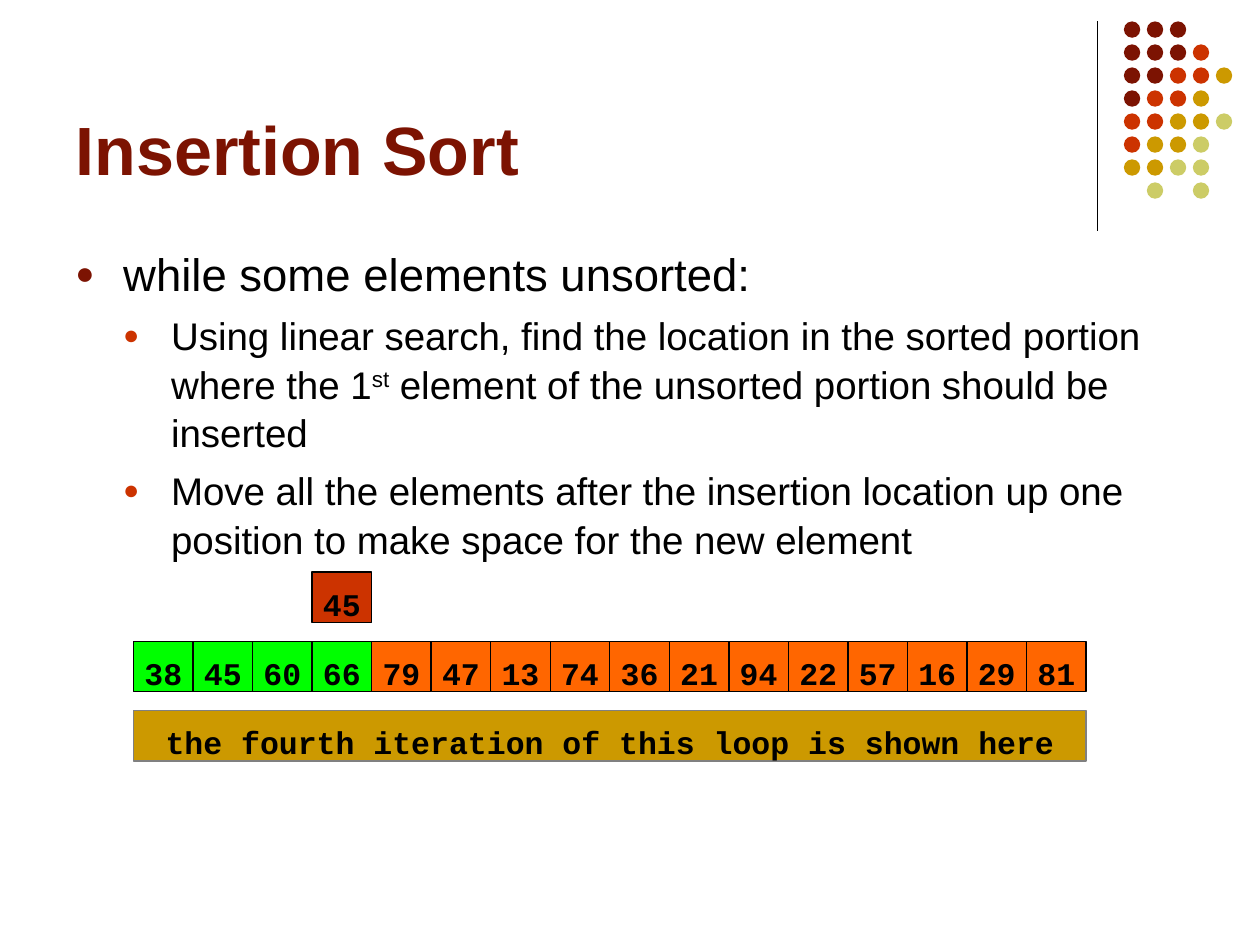
from lxml.etree import SubElement
from pptx import Presentation
from pptx.dml.color import RGBColor
from pptx.enum.shapes import MSO_CONNECTOR, MSO_SHAPE
from pptx.enum.text import MSO_ANCHOR, MSO_AUTO_SIZE, PP_ALIGN
from pptx.oxml.ns import qn
from pptx.util import Inches, Pt

TITLE = "Insertion Sort"
# (level, runs); a run is (text, is superscript)
BODY = [
    (0, [("while some elements unsorted:", False)]),
    (1, [("Using linear search, find the location in the sorted portion where the 1", False),
         ("st", True),
         (" element of the unsorted portion should be inserted", False)]),
    (1, [("Move all the elements after the insertion location up one position "
          "to make space for the new element", False)]),
]
VALUES = [38, 45, 60, 66, 79, 47, 13, 74, 36, 21, 94, 22, 57, 16, 29, 81]
SORTED_COUNT = 4
INSERTED_VALUE, INSERTED_COLUMN = 45, 3
CAPTION = "the fourth iteration of this loop is shown here"
# Each letter is a dot colour, a space is a gap
DOT_ROWS = ["MMM", "MMMR", "MMRRG", "MRRG", "RRGGL", "RGGL", "GGLL", " L L"]

THEME = {
    "maroon": "7C1302", "red": "CC3300", "gold": "CC9900", "lime": "CCCC66",
    "black": "000000", "gray": "808080", "sorted": "00FF00", "unsorted": "FF6600",
    "sans": "Arial", "mono": "Courier New",
    "title_size": 39, "cell_size": 18,
    "levels": [
        {"size": 26, "before": 6.5, "indent": 0.38, "bullet": "maroon"},
        {"size": 22, "before": 5.5, "indent": 0.76, "bullet": "red"},
    ],
}
DOT_COLOURS = {"M": "maroon", "R": "red", "G": "gold", "L": "lime"}

DOT_LEFT, DOT_TOP, DOT_STEP, DOT_SIZE = 8.92, 0.17, 0.73 / 4, 0.13
ARRAY_LEFT, ARRAY_TOP, ARRAY_WIDTH = 1.06, 5.09, 7.56
CELL_WIDTH, CELL_HEIGHT = ARRAY_WIDTH / len(VALUES), 0.4
ROW_STEP = 0.55


def colour(name):
    return RGBColor.from_string(THEME[name])


def apply(target, **values):
    for name, value in values.items():
        setattr(target, name, value)


def style_font(font, face, size, colour_name="black", bold=False):
    apply(font, name=THEME[face], size=Pt(size), bold=bold)
    font.color.rgb = colour(colour_name)


def add_filled(slide, kind, box, fill, line=None, line_width=0.75):
    shape = slide.shapes.add_shape(kind, *map(Inches, box))
    shape.shadow.inherit = False
    shape.fill.solid()
    shape.fill.fore_color.rgb = colour(fill)
    if line:
        shape.line.color.rgb = colour(line)
        shape.line.width = Pt(line_width)
    else:
        shape.line.fill.background()
    return shape


def add_label(slide, text, box, fill, line="black", line_width=0.75):
    """Add a filled box with bold monospaced text resting near its bottom edge."""
    shape = add_filled(slide, MSO_SHAPE.RECTANGLE, box, fill, line, line_width)
    apply(shape.text_frame, vertical_anchor=MSO_ANCHOR.BOTTOM, margin_bottom=0,
          margin_top=0, margin_left=Inches(0.05), margin_right=Inches(0.05))
    paragraph = shape.text_frame.paragraphs[0]
    paragraph.alignment = PP_ALIGN.CENTER
    run = paragraph.add_run()
    run.text = str(text)
    style_font(run.font, "mono", THEME["cell_size"], bold=True)


def add_bullet(paragraph, indent, colour_name):
    properties = paragraph._p.get_or_add_pPr()
    properties.set("marL", str(Inches(indent)))
    properties.set("indent", str(Inches(-0.38)))
    bullet_colour = SubElement(properties, qn("a:buClr"))
    SubElement(bullet_colour, qn("a:srgbClr"), val=THEME[colour_name])
    SubElement(properties, qn("a:buSzPct"), val="70000")
    SubElement(properties, qn("a:buFont"), typeface=THEME["sans"])
    SubElement(properties, qn("a:buChar"), char="●")


def add_corner_decoration(slide):
    rule = slide.shapes.add_connector(
        MSO_CONNECTOR.STRAIGHT, *map(Inches, (8.71, 0.17, 8.71, 1.83)))
    rule.line.color.rgb = colour("black")
    rule.line.width = Pt(0.75)
    SubElement(rule._element.spPr, qn("a:effectLst"))
    for row, letters in enumerate(DOT_ROWS):
        for column, letter in enumerate(letters):
            if letter in DOT_COLOURS:
                box = (DOT_LEFT + column * DOT_STEP, DOT_TOP + row * DOT_STEP,
                       DOT_SIZE, DOT_SIZE)
                add_filled(slide, MSO_SHAPE.OVAL, box, DOT_COLOURS[letter])


def set_title(slide):
    title = slide.shapes.title
    apply(title, left=Inches(0.5), top=Inches(0.13), width=Inches(8.25), height=Inches(1.42))
    title.text_frame.text = TITLE
    apply(title.text_frame, vertical_anchor=MSO_ANCHOR.BOTTOM, auto_size=MSO_AUTO_SIZE.NONE)
    paragraph = title.text_frame.paragraphs[0]
    paragraph.alignment = PP_ALIGN.LEFT
    style_font(paragraph.runs[0].font, "sans", THEME["title_size"], "maroon", bold=True)


def add_body(slide):
    frame = slide.shapes.add_textbox(*map(Inches, (0.5, 1.88, 9, 2.87))).text_frame
    frame.word_wrap = True
    for index, (level, runs) in enumerate(BODY):
        style = THEME["levels"][level]
        paragraph = frame.add_paragraph() if index else frame.paragraphs[0]
        apply(paragraph, level=level, line_spacing=1.05, space_before=Pt(style["before"]))
        add_bullet(paragraph, style["indent"], style["bullet"])
        for text, superscript in runs:
            run = paragraph.add_run()
            run.text = text
            style_font(run.font, "sans", style["size"])
            if superscript:
                run.font._element.set("baseline", "30000")


def add_array(slide):
    def cell_box(column, row):
        return (ARRAY_LEFT + column * CELL_WIDTH, ARRAY_TOP + row * ROW_STEP,
                CELL_WIDTH, CELL_HEIGHT)

    for column, value in enumerate(VALUES):
        fill = "sorted" if column < SORTED_COUNT else "unsorted"
        add_label(slide, value, cell_box(column, 0), fill)
    add_label(slide, INSERTED_VALUE, cell_box(INSERTED_COLUMN, -1), "red")
    caption_box = (ARRAY_LEFT, ARRAY_TOP + ROW_STEP, ARRAY_WIDTH, CELL_HEIGHT)
    add_label(slide, CAPTION, caption_box, "gold", "gray", 1)


def main():
    presentation = Presentation()
    apply(presentation, slide_width=Inches(10), slide_height=Inches(7.5))
    slide = presentation.slides.add_slide(presentation.slide_layouts[5])
    add_corner_decoration(slide)
    set_title(slide)
    add_body(slide)
    add_array(slide)
    presentation.save("out.pptx")


if __name__ == "__main__":
    main()
